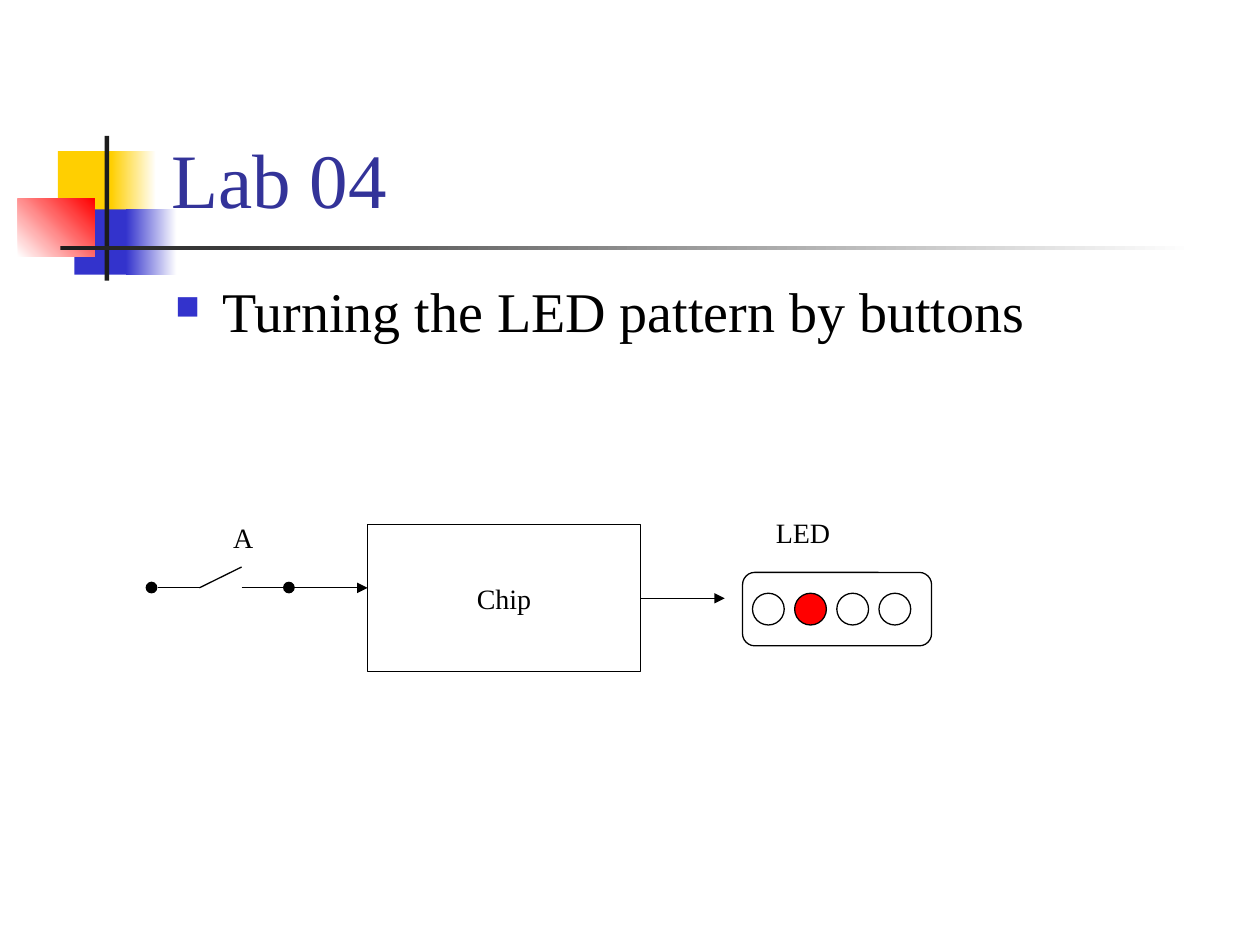
from typing import NamedTuple, Optional

from lxml import etree
from pptx import Presentation
from pptx import util as u
from pptx.dml.color import RGBColor
from pptx.enum import shapes, text
from pptx.oxml.ns import qn

FONT = "Times New Roman"
BLACK, WHITE, RED = "000000", "FFFFFF", "FF0000"
GOLD, BLUE, DARK, NAVY = "FFCF01", "3333CC", "1C1C1C", "333399"
KIND = shapes.MSO_SHAPE


class Box(NamedTuple):
    """Left, top, width and height in centimetres."""
    x: float
    y: float
    w: float
    h: float


class Block(NamedTuple):
    box: Box
    start: str
    end: Optional[str] = None
    angle: float = 0


BLOCKS = [
    Block(Box(1.17, 3.05, 1.22, 1.32), GOLD),
    Block(Box(2.24, 3.05, 0.91, 1.32), GOLD, WHITE),
    Block(Box(1.5, 4.22, 1.17, 1.32), BLUE),
    Block(Box(2.54, 4.22, 1.02, 1.32), BLUE, WHITE),
    Block(Box(0.36, 4.01, 1.55, 1.17), WHITE, RED, 45),
    Block(Box(2.11, 2.74, 0.09, 2.92), DARK),
    Block(Box(1.22, 4.95, 22.86, 0.09), DARK, WHITE),
]


def color(code: str) -> RGBColor:
    return RGBColor.from_string(code)


def place(box: Box) -> list:
    return [u.Cm(v) for v in box]


def add_shape(parent, kind, box: Box, fill: Optional[str] = None,
              line: Optional[str] = BLACK):
    shape = parent.add_shape(kind, *place(box))
    shape.shadow.inherit = False
    if fill:
        shape.fill.solid()
        shape.fill.fore_color.rgb = color(fill)
    else:
        shape.fill.background()
    if line:
        shape.line.color.rgb = color(line)
        shape.line.width = u.Pt(0.75)
    else:
        shape.line.fill.background()
    return shape


def add_block(parent, block: Block) -> None:
    shape = add_shape(parent, KIND.RECTANGLE, block.box, block.start, None)
    if block.end:
        shape.fill.gradient()
        shape.fill.gradient_angle = block.angle
        stops = shape.fill.gradient_stops
        for stop, code, pos in zip(stops, (block.start, block.end), (0, 1)):
            stop.color.rgb = color(code)
            stop.position = pos


def add_line(parent, x1: float, y1: float, x2: float, y2: float,
             arrow: bool = False):
    line = parent.add_connector(shapes.MSO_CONNECTOR.STRAIGHT,
                                *(u.Cm(v) for v in (x1, y1, x2, y2)))
    line.line.color.rgb = color(BLACK)
    line.line.width = u.Pt(0.75)
    if arrow:
        etree.SubElement(line.line._get_or_add_ln(), qn("a:tailEnd"), type="triangle")
    etree.SubElement(line._element.spPr, qn("a:effectLst"))
    return line


def add_run(frame, words: str, size: float, code: str = BLACK):
    para = frame.paragraphs[0]
    run = para.add_run()
    run.text = words
    run.font.name = FONT
    run.font.size = u.Pt(size)
    run.font.color.rgb = color(code)
    return para


def add_text(parent, box: Box, words: str, size: float, code: str = BLACK,
             wrap: bool = True, anchor=text.MSO_ANCHOR.TOP):
    frame = parent.add_textbox(*place(box)).text_frame
    frame.word_wrap = wrap
    frame.vertical_anchor = anchor
    if not wrap:
        frame.auto_size = text.MSO_AUTO_SIZE.SHAPE_TO_FIT_TEXT
    return add_run(frame, words, size, code)


def add_bullet(para, mark: str, code: str, percent: int, indent: float) -> None:
    props = para._p.get_or_add_pPr()
    props.set("marL", str(u.Cm(indent)))
    props.set("indent", str(-u.Cm(indent)))
    tint = etree.SubElement(props, qn("a:buClr"))
    etree.SubElement(tint, qn("a:srgbClr"), val=code)
    etree.SubElement(props, qn("a:buSzPct"), val=str(percent * 1000))
    etree.SubElement(props, qn("a:buChar"), char=mark)


def add_switch(parent) -> None:
    group = parent.add_group_shape().shapes
    y = 11.85
    add_line(group, 4.02, y, 4.87, 11.43)
    for x in (3.18, 4.87):
        add_line(group, x, y, x + 0.85, y)
    for x in (2.95, 5.72):
        add_shape(group, KIND.OVAL, Box(x, 11.74, 0.21, 0.21), BLACK)


def add_leds(parent, lit: int) -> None:
    group = parent.add_group_shape().shapes
    for i in range(4):
        add_shape(group, KIND.OVAL, Box(15.17 + 0.85 * i, 11.96, 0.64, 0.64),
                  RED if i == lit else None)
    add_shape(group, KIND.ROUNDED_RECTANGLE, Box(14.97, 11.54, 3.81, 1.48))
    add_text(group, Box(15.39, 10.27, 1.6, 0.93), "LED", 16, wrap=False)


def main() -> None:
    deck = Presentation()
    deck.slide_width, deck.slide_height = u.Cm(25.4), u.Cm(19.05)
    parts = deck.slides.add_slide(deck.slide_layouts[6]).shapes

    for block in BLOCKS:
        add_block(parts, block)
    add_text(parts, Box(3.2, 0.58, 21.64, 4.06), "Lab 04", 44, NAVY,
             anchor=text.MSO_ANCHOR.BOTTOM)
    para = add_text(parts, Box(3.28, 5.61, 21.59, 2.87),
                    "Turning the LED pattern by buttons", 32)
    para.line_spacing = 0.9
    para.space_before = u.Pt(6.4)
    add_bullet(para, "■", BLUE, 60, 0.95)

    chip = add_shape(parts, KIND.RECTANGLE, Box(7.41, 10.58, 5.5, 2.96))
    chip.text_frame.word_wrap = False
    chip.text_frame.vertical_anchor = text.MSO_ANCHOR.MIDDLE
    add_run(chip.text_frame, "Chip", 16).alignment = text.PP_ALIGN.CENTER

    add_switch(parts)
    add_line(parts, 5.93, 11.85, 7.41, 11.85, arrow=True)
    add_text(parts, Box(4.45, 10.37, 0.91, 0.93), "A", 16, wrap=False)
    output = add_line(parts, 12.91, 12.06, 14.61, 12.06, arrow=True)
    output.begin_connect(chip, 3)
    add_leds(parts, lit=1)

    deck.save("out.pptx")


if __name__ == "__main__":
    main()
